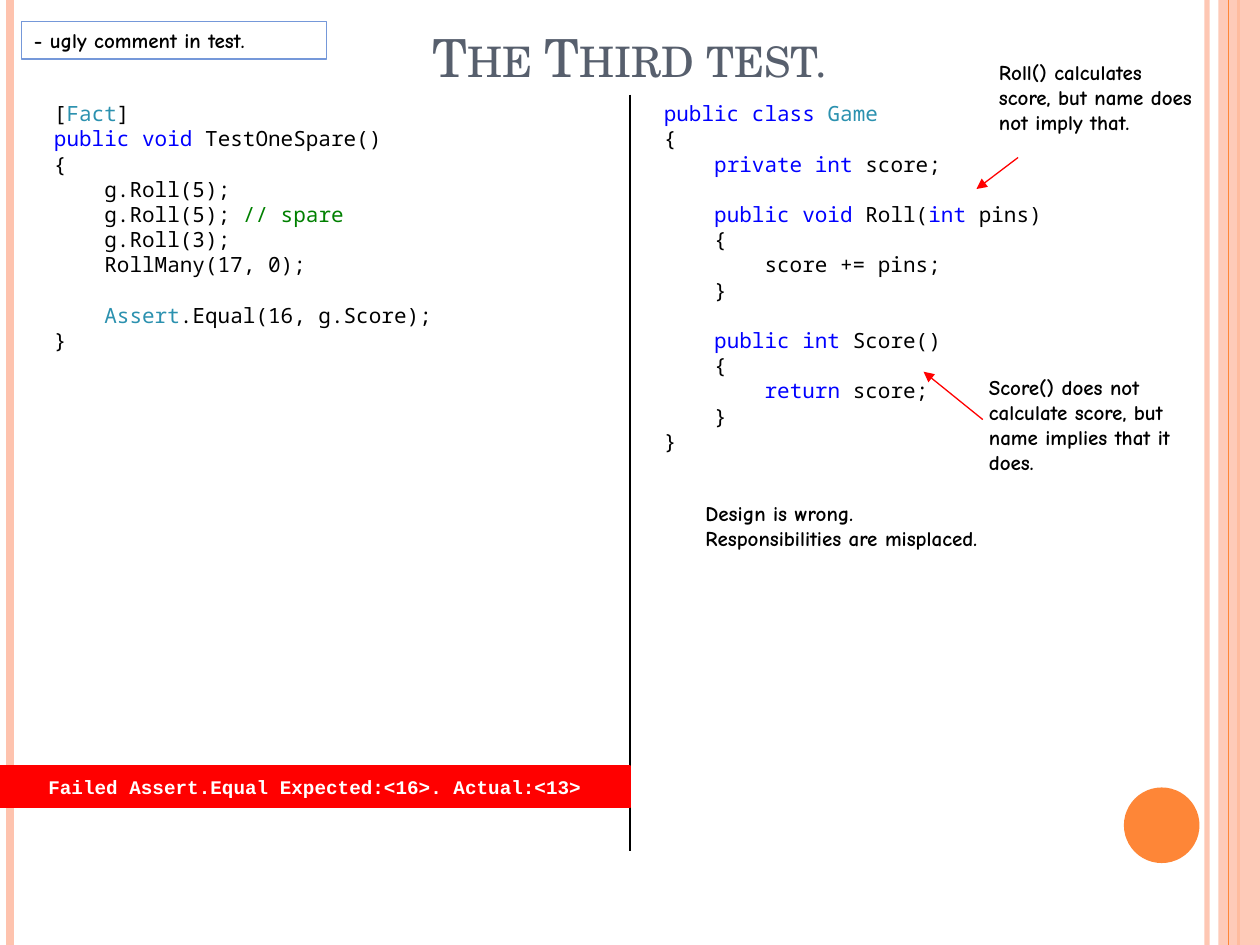
from lxml import etree
from pptx import Presentation
from pptx import util as u
from pptx.dml.color import RGBColor
from pptx.enum import shapes, text
from pptx.oxml.ns import qn

ORANGE, PEACH, RED = "FE8637", "FEC3AE", "FF0000"
BLACK, WHITE = "000000", "FFFFFF"
KEYWORD, TYPE, COMMENT = "0000FF", "2B91AF", "008000"
LINE_PITCH = 14.4

# Each code line is a list of strings (black) and (string, colour) pairs
TEST_CODE = [
    ["[", ("Fact", TYPE), "]"],
    [("public void ", KEYWORD), "TestOneSpare()"],
    ["{"],
    ["    g.Roll(5);"],
    ["    g.Roll(5); ", ("// spare", COMMENT)],
    ["    g.Roll(3);"],
    ["    RollMany(17, 0);"],
    [],
    ["    ", ("Assert", TYPE), ".Equal(16, g.Score);"],
    ["}"],
]
GAME_CODE = [
    [("public class ", KEYWORD), ("Game", TYPE)],
    ["{"],
    ["    ", ("private int", KEYWORD), " score;"],
    [],
    ["    ", ("public void", KEYWORD), " Roll(", ("int", KEYWORD), " pins)"],
    ["    {"],
    ["        score += pins;"],
    ["    }"],
    [],
    ["    ", ("public int", KEYWORD), " Score()"],
    ["    {"],
    ["        ", ("return", KEYWORD), " score;"],
    ["    }"],
    ["}"],
]


def rgb(value):
    return RGBColor.from_string(value)


def set_alpha(fill_parent, percent):
    color = next(fill_parent.iter(qn("a:srgbClr")))
    etree.SubElement(color, qn("a:alpha")).set("val", str(percent * 1000))


def add_line(slide, x1, y1, x2, y2, color, width, alpha=None, arrow=False):
    line = slide.shapes.add_connector(
        shapes.MSO_CONNECTOR.STRAIGHT, *map(u.Inches, (x1, y1, x2, y2)))
    line.line.color.rgb = rgb(color)
    line.line.width = u.Pt(width)
    sp_pr = line._element.spPr
    if alpha:
        set_alpha(sp_pr, alpha)
    if arrow:
        etree.SubElement(sp_pr.find(qn("a:ln")), qn("a:tailEnd")).set("type", "triangle")
    etree.SubElement(sp_pr, qn("a:effectLst"))


def add_box(slide, kind, x, y, w, h, fill=None, line=None, alpha=None):
    sp = slide.shapes.add_shape(kind, *map(u.Inches, (x, y, w, h)))
    sp.shadow.inherit = False
    if fill:
        sp.fill.solid()
        sp.fill.fore_color.rgb = rgb(fill)
        if alpha:
            set_alpha(sp._element.spPr, alpha)
    else:
        sp.fill.background()
    if line:
        sp.line.color.rgb = rgb(line)
        sp.line.width = u.Pt(0.75)
    else:
        sp.line.fill.background()
    return sp


def add_textbox(slide, x, y, w, h):
    return slide.shapes.add_textbox(*map(u.Inches, (x, y, w, h)))


def write(sp, lines, font, size=12, color=BLACK, bold=False, small_caps=False,
          align=text.PP_ALIGN.LEFT, anchor=text.MSO_ANCHOR.TOP, wrap=True, pitch=LINE_PITCH):
    """Write lines of runs; an empty line becomes space before the next one."""
    tf = sp.text_frame
    tf.word_wrap = wrap
    tf.vertical_anchor = anchor
    p, gap = None, 0
    for runs in lines:
        if not runs:
            gap += pitch
            continue
        p = tf.add_paragraph() if p is not None else tf.paragraphs[0]
        p.alignment = align
        if pitch:
            p.line_spacing = u.Pt(pitch)
        if gap:
            p.space_before = u.Pt(gap)
            gap = 0
        for run in runs:
            content, run_color = (run, color) if isinstance(run, str) else run
            r = p.add_run()
            r.text = content
            r.font.name, r.font.size, r.font.bold = font, u.Pt(size), bold
            r.font.color.rgb = rgb(run_color)
            if small_caps:
                r.font._element.set("cap", "small")


def add_code(slide, x, y, w, h, lines):
    write(add_textbox(slide, x, y, w, h), lines, "Noto Sans Mono")


def write_note(sp, *lines):
    write(sp, [[line] for line in lines], "Comic Neue", bold=True)


def add_decoration(slide):
    for x, color, width, alpha in [(9.58, PEACH, 3, 93), (0.08, PEACH, 4.5, None),
                                   (9.83, ORANGE, 1.5, None)]:
        add_line(slide, x, 0, x, 7.5, color, width, alpha)
    add_box(slide, shapes.MSO_SHAPE.RECTANGLE, 9.67, 0, 0.33, 7.5, PEACH, alpha=87)
    add_line(slide, 9.75, 0, 9.75, 7.5, ORANGE, 0.75)
    add_box(slide, shapes.MSO_SHAPE.OVAL, 8.92, 6.25, 0.6, 0.6, ORANGE)


def main():
    prs = Presentation()
    prs.slide_width, prs.slide_height = u.Inches(10), u.Inches(7.5)
    slide = prs.slides.add_slide(prs.slide_layouts[6])
    add_decoration(slide)

    # Game class and title
    add_code(slide, 5.17, 0.75, 4.67, 2.93, GAME_CODE)
    write(add_textbox(slide, 0.5, 0, 9, 0.75), [["The Third test."]], "TeX Gyre Schola",
          size=30, color="575F6D", small_caps=True, align=text.PP_ALIGN.CENTER,
          anchor=text.MSO_ANCHOR.BOTTOM, pitch=None)

    # Remarks on the design, with arrows to the methods
    add_line(slide, 7.8, 3.33, 7.33, 2.95, RED, 0.75, arrow=True)
    write_note(add_textbox(slide, 7.83, 0.42, 1.75, 0.71),
               "Roll() calculates score, but name does not imply that.")
    add_line(slide, 8.08, 1.25, 7.75, 1.5, RED, 0.75, arrow=True)
    write_note(add_textbox(slide, 7.75, 2.92, 1.75, 0.91),
               "Score() does not calculate score, but name implies that it does.")
    write_note(add_textbox(slide, 5.5, 3.92, 2.42, 0.5),
               "Design is wrong.", "Responsibilities are misplaced.")

    # Divider, comment and test
    add_line(slide, 5, 0.75, 5, 6.75, BLACK, 1)
    write_note(add_box(slide, shapes.MSO_SHAPE.RECTANGLE, 0.17, 0.17, 2.42, 0.3,
                       line="7598D9"), "- ugly comment in test.")
    add_code(slide, 0.33, 0.75, 4.42, 2.12, TEST_CODE)

    # Test result bar
    bar = add_box(slide, shapes.MSO_SHAPE.RECTANGLE, 0, 6.08, 5, 0.33, RED, RED)
    write(bar, [["Failed Assert.Equal Expected:<16>. Actual:<13>"]], "Courier New",
          size=11, color=WHITE, bold=True, align=text.PP_ALIGN.CENTER,
          anchor=text.MSO_ANCHOR.MIDDLE, wrap=False, pitch=None)

    prs.save("out.pptx")


if __name__ == "__main__":
    main()
